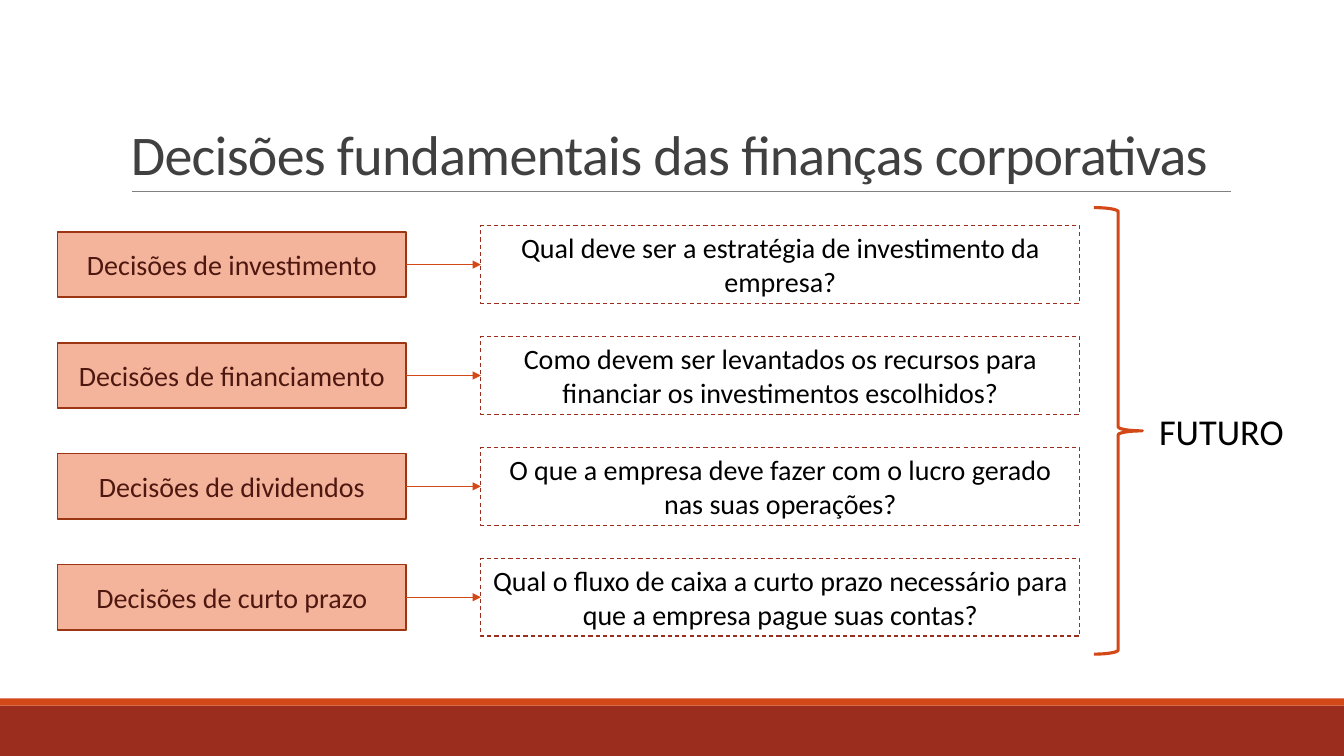
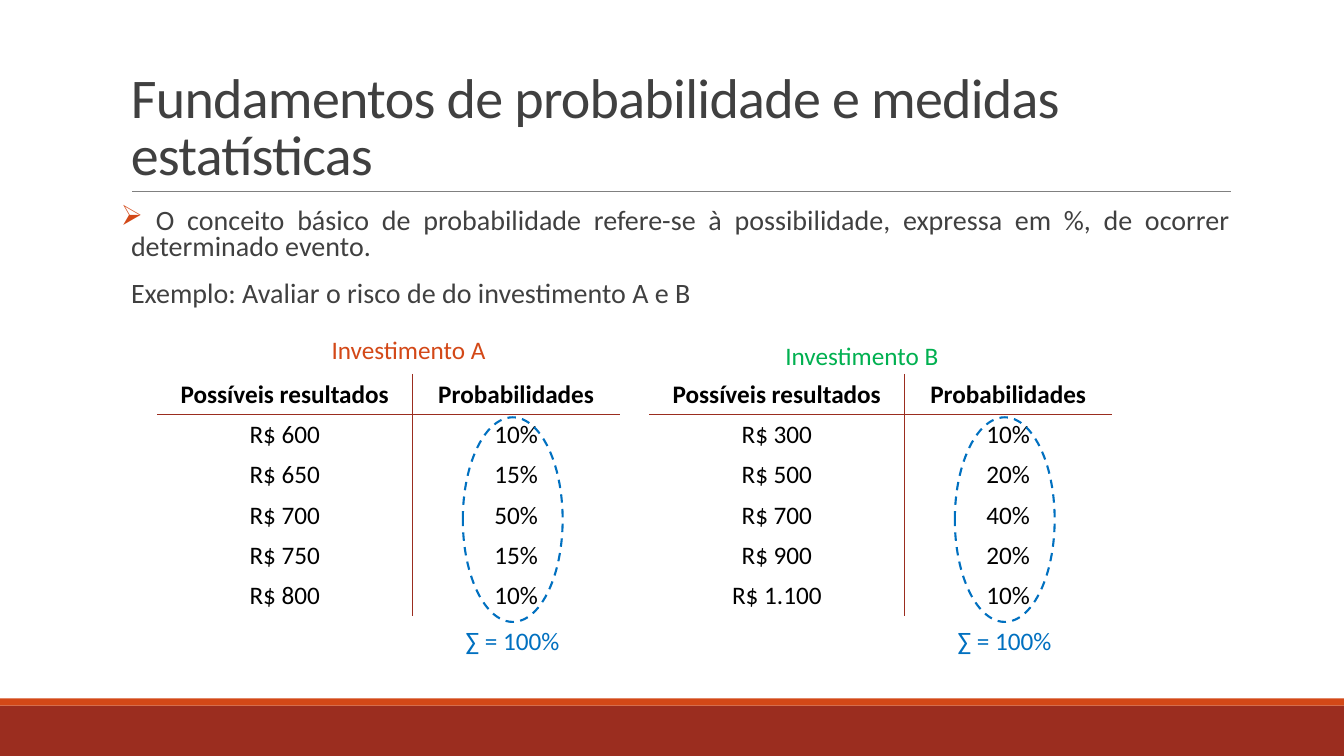
"""Build two corporate finance slides: key decisions and probability basics."""
from dataclasses import dataclass

from lxml import etree
from pptx import Presentation
from pptx.dml.color import RGBColor
from pptx.enum.dml import MSO_LINE
from pptx.enum.shapes import MSO_CONNECTOR, MSO_SHAPE
from pptx.enum.text import MSO_ANCHOR, PP_ALIGN
from pptx.oxml.ns import qn
from pptx.util import Inches, Pt

RECT, OVAL, BRACE = MSO_SHAPE.RECTANGLE, MSO_SHAPE.OVAL, MSO_SHAPE.RIGHT_BRACE
STRAIGHT, DASH = MSO_CONNECTOR.STRAIGHT, MSO_LINE.DASH
TOP, MIDDLE, BOTTOM = MSO_ANCHOR.TOP, MSO_ANCHOR.MIDDLE, MSO_ANCHOR.BOTTOM
LEFT, CENTER, JUSTIFY = PP_ALIGN.LEFT, PP_ALIGN.CENTER, PP_ALIGN.JUSTIFY


@dataclass(frozen=True)
class Theme:
    """Colours, font and type sizes shared by the slides."""
    font: str = "Calibri"
    brick: str = "9B2D1F"
    orange: str = "D34817"
    peach: str = "F4B39B"
    rust: str = "9C3511"
    maroon: str = "4E1710"
    gray: str = "808080"
    text: str = "404040"
    black: str = "000000"
    blue: str = "0070C0"
    green: str = "00B050"
    title: int = 40
    callout: int = 26
    body: int = 20
    small: int = 18


T = Theme()

DECISIONS = [
    ("Decisões de investimento",
     "Qual deve ser a estratégia de investimento da empresa?"),
    ("Decisões de financiamento",
     "Como devem ser levantados os recursos para financiar os investimentos escolhidos?"),
    ("Decisões de dividendos",
     "O que a empresa deve fazer com o lucro gerado nas suas operações?"),
    ("Decisões de curto prazo",
     "Qual o fluxo de caixa a curto prazo necessário para que a empresa pague suas contas?"),
]
HEADER = ("Possíveis resultados", "Probabilidades")
INVESTMENT_A = [("R$ 600", "10%"), ("R$ 650", "15%"), ("R$ 700", "50%"),
                ("R$ 750", "15%"), ("R$ 800", "10%")]
INVESTMENT_B = [("R$ 300", "10%"), ("R$ 500", "20%"), ("R$ 700", "40%"),
                ("R$ 900", "20%"), ("R$ 1.100", "10%")]


def rgb(color):
    """Turn a hex string into a colour."""
    return RGBColor.from_string(color)


def add_run(p, text, size, color, bold=False):
    """Append a styled run to a paragraph."""
    r = p.add_run()
    r.text = text
    r.font.name, r.font.size, r.font.bold = T.font, Pt(size), bold
    r.font.color.rgb = rgb(color)
    return r


def write(sp, text, size, color, align=CENTER, anchor=MIDDLE):
    """Write one paragraph into a shape and return it with its run."""
    tf = sp.text_frame
    tf.word_wrap, tf.vertical_anchor = True, anchor
    p = tf.paragraphs[0]
    p.alignment = align
    return p, add_run(p, text, size, color)


def add_box(s, kind, box, fill=None, line=None, width=1, dash=None):
    """Add a preset shape with optional fill and outline."""
    sp = s.shapes.add_shape(kind, *map(Inches, box))
    sp.shadow.inherit = False
    if fill:
        sp.fill.solid()
        sp.fill.fore_color.rgb = rgb(fill)
    else:
        sp.fill.background()
    if line:
        sp.line.color.rgb, sp.line.width = rgb(line), Pt(width)
        if dash:
            sp.line.dash_style = dash
    else:
        sp.line.fill.background()
    return sp


def add_text(s, box, text, size, color, align=LEFT, wrap=True):
    """Add a one-paragraph text box."""
    sp = s.shapes.add_textbox(*map(Inches, box))
    write(sp, text, size, color, align, TOP)
    sp.text_frame.word_wrap = wrap


def add_line(s, start, end, color, width):
    """Add a straight connector without shadow."""
    c = s.shapes.add_connector(STRAIGHT, *map(Inches, (*start, *end)))
    c.line.color.rgb, c.line.width = rgb(color), Pt(width)
    etree.SubElement(c._element.spPr, qn("a:effectLst"))
    return c


def add_arrow(s, source, target):
    """Join the right side of one box to the left side of another."""
    c = add_line(s, (0, 0), (1, 1), T.orange, 1)
    c.begin_connect(source, 3)
    c.end_connect(target, 1)
    etree.SubElement(c.line._get_or_add_ln(), qn("a:tailEnd"), type="triangle")


def add_slide(prs, title):
    """Add a slide with the shared bands, rule and title."""
    s = prs.slides.add_slide(prs.slide_layouts[6])
    add_box(s, RECT, (0, 7, 13.33, 0.5), T.brick)
    add_box(s, RECT, (0, 6.93, 13.33, 0.07), T.orange)
    add_line(s, (1.31, 1.9), (12.21, 1.9), T.gray, 0.5)
    sp = s.shapes.add_textbox(*map(Inches, (1.2, 0.31, 11, 1.59)))
    p, r = write(sp, title, T.title, T.text, LEFT, BOTTOM)
    p.line_spacing = 0.85
    r.font._element.set("spc", "-50")
    return s


def set_bullet(p, char):
    """Give a paragraph a hanging coloured bullet."""
    pPr = p._p.get_or_add_pPr()
    pPr.set("indent", str(-Inches(0.1)))
    color = etree.SubElement(pPr, qn("a:buClr"))
    etree.SubElement(color, qn("a:srgbClr"), val=T.orange)
    etree.SubElement(pPr, qn("a:buChar"), char=char)


def add_body(s, box, items):
    """Add justified paragraphs from (bullet, text) pairs."""
    tf = s.shapes.add_textbox(*map(Inches, box)).text_frame
    tf.word_wrap = True
    tf.margin_left = tf.margin_right = 0
    for i, (bullet, text) in enumerate(items):
        p = tf.add_paragraph() if i else tf.paragraphs[0]
        p.alignment, p.line_spacing, p.space_after = JUSTIFY, 0.8, Pt(2)
        if i:
            p.space_before = Pt(12)
        p._p.get_or_add_pPr().set("marL", str(Inches(0.1)))
        if bullet:
            set_bullet(p, bullet)
        add_run(p, text, T.body, T.text)


def set_borders(cell, sides):
    """Draw the named sides of a cell and clear the others."""
    tcPr = cell._tc.get_or_add_tcPr()
    for side in "LRTB":
        ln = etree.SubElement(tcPr, qn(f"a:ln{side}"), w=str(Pt(1)))
        if side in sides:
            fill = etree.SubElement(ln, qn("a:solidFill"))
            etree.SubElement(fill, qn("a:srgbClr"), val=T.brick)
        else:
            etree.SubElement(ln, qn("a:noFill"))


def add_grid(s, left, top, rows):
    """Add a two-column table with a header rule and a centre rule."""
    widths, height = (2.53, 2.06), 0.4
    frame = s.shapes.add_table(len(rows), len(widths), *map(
        Inches, (left, top, sum(widths), height * len(rows))))
    table = frame.table
    table.first_row = table.horz_banding = False
    for col, width in zip(table.columns, widths):
        col.width = Inches(width)
    for i, row in enumerate(rows):
        for j, text in enumerate(row):
            cell = table.cell(i, j)
            set_borders(cell, "RL"[j] + {0: "B", 1: "T"}.get(i, ""))
            cell.fill.background()
            p = cell.text_frame.paragraphs[0]
            p.alignment = CENTER
            add_run(p, text, T.small, T.black, bold=i == 0)


def add_investment(s, left, rows, name, name_at, color):
    """Add a named probability table with its circled total."""
    add_text(s, (*name_at, 1.75, 0.4), name, T.small, color, wrap=False)
    add_grid(s, left, 3.71, [HEADER, *rows])
    add_box(s, OVAL, (left + 3.03, 4.14, 0.99, 2.03), None, T.blue, 1.5, DASH)
    add_text(s, (left + 2.96, 6.15, 1.15, 0.4), "∑ = 100%", T.small, T.blue, wrap=False)


def build_decisions(prs):
    """Build the slide that pairs each decision with its question."""
    s = add_slide(prs, "Decisões fundamentais das finanças corporativas")
    for i, (decision, question) in enumerate(DECISIONS):
        middle = 2.62 + 1.1 * i
        source = add_box(s, RECT, (0.57, middle - 0.32, 3.46, 0.65), T.peach, T.rust, 1.25)
        write(source, decision, T.body, T.maroon)
        target = add_box(s, RECT, (4.77, middle - 0.38, 5.94, 0.77), None, T.brick, 0.75, DASH)
        write(target, question, T.body, T.black)
        add_arrow(s, source, target)
    add_box(s, BRACE, (10.85, 2.06, 0.48, 4.43), None, T.orange, 2.25)
    add_text(s, (11.33, 4.01, 1.57, 0.54), "FUTURO", T.callout, T.black, CENTER)


def build_probability(prs):
    """Build the slide that compares the two investments."""
    s = add_slide(prs, "Fundamentos de probabilidade e medidas estatísticas")
    add_body(s, (1.2, 2.02, 11, 1.13), [
        ("➢", " O conceito básico de probabilidade refere-se à possibilidade, "
              "expressa em %, de ocorrer determinado evento."),
        (None, "Exemplo: Avaliar o risco de do investimento A e B"),
    ])
    add_investment(s, 1.56, INVESTMENT_A, "Investimento A", (3.19, 3.27), T.orange)
    add_investment(s, 6.44, INVESTMENT_B, "Investimento B", (7.69, 3.33), T.green)


def main():
    """Build and save the presentation."""
    prs = Presentation()
    prs.slide_width, prs.slide_height = Inches(13.33), Inches(7.5)
    build_decisions(prs)
    build_probability(prs)
    prs.save("out.pptx")


if __name__ == "__main__":
    main()
